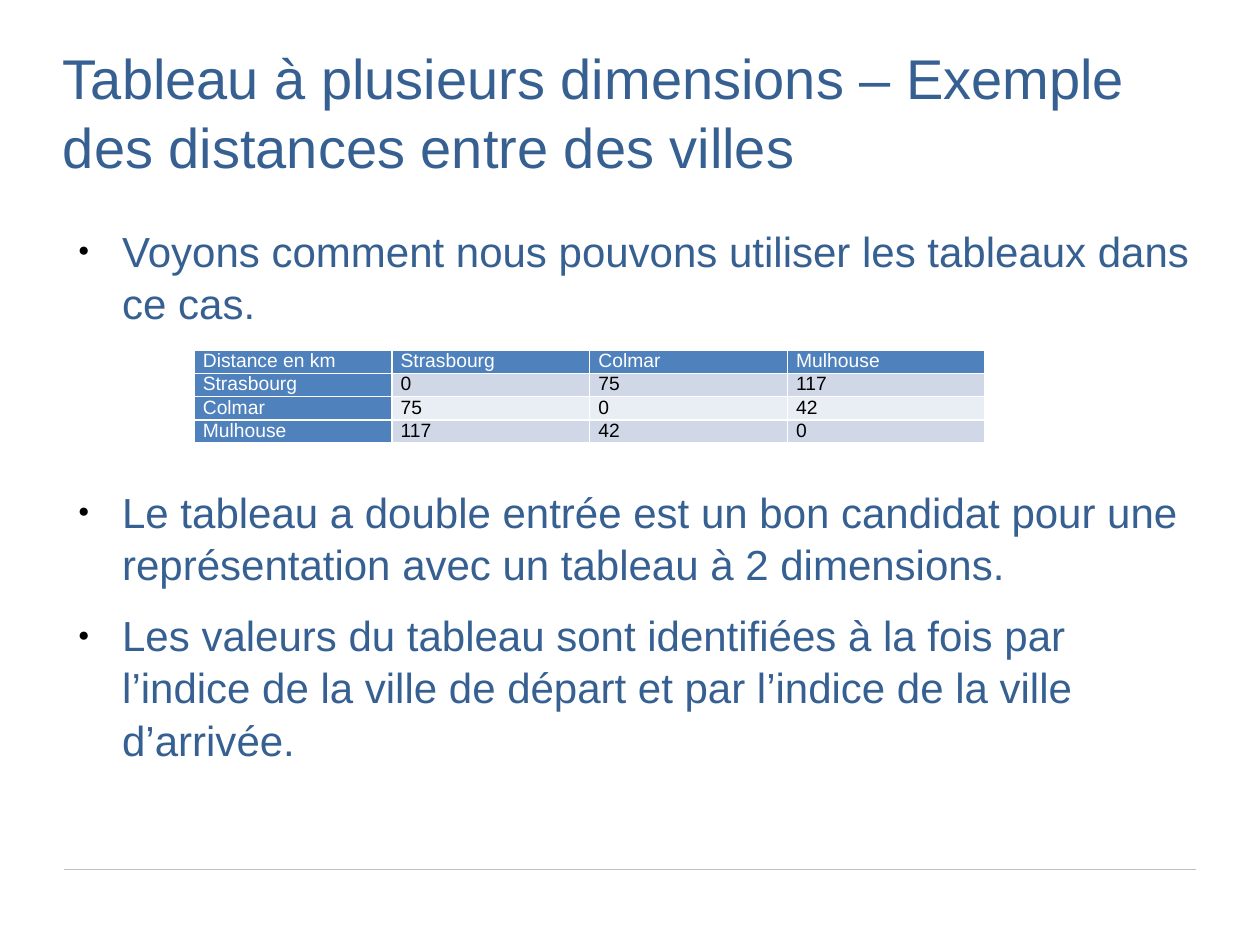
"""Build the slide on two-dimensional arrays, with a table of distances between cities."""
from dataclasses import dataclass

from lxml.etree import SubElement
from pptx import Presentation
from pptx.dml.color import RGBColor
from pptx.enum.shapes import MSO_CONNECTOR
from pptx.oxml.ns import qn
from pptx.util import Inches, Pt


@dataclass(frozen=True)
class Theme:
    font: str = "Arial"
    text: str = "376092"
    black: str = "000000"
    white: str = "FFFFFF"
    rule: str = "BFBFBF"
    header: str = "4F81BD"
    bands: tuple = ("D0D8E8", "E9EDF4")
    title_size: int = 32
    body_size: int = 24
    table_size: int = 11


theme = Theme()


def write(p, text, *, size, color, spacing=1.0, before=0, after=0, bullet=False):
    p.line_spacing = spacing
    p.space_before = Pt(before)
    p.space_after = Pt(after)
    r = p.add_run()
    r.text = text
    r.font.name = theme.font
    r.font.size = Pt(size)
    r.font.color.rgb = RGBColor.from_string(color)
    if bullet:
        pPr = p._p.get_or_add_pPr()
        pPr.set("marL", str(Inches(0.47)))
        pPr.set("indent", str(Inches(-0.35)))
        SubElement(SubElement(pPr, qn("a:buClr")), qn("a:srgbClr"), val=theme.black)
        SubElement(pPr, qn("a:buSzPct"), val="45000")
        SubElement(pPr, qn("a:buFont"), typeface=theme.font)
        SubElement(pPr, qn("a:buChar"), char="●")


def add_text_frame(s, left, top, width, height):
    tf = s.shapes.add_textbox(Inches(left), Inches(top), Inches(width), Inches(height)).text_frame
    tf.word_wrap = True
    tf.margin_left = tf.margin_top = tf.margin_right = tf.margin_bottom = 0
    return tf


prs = Presentation()
prs.slide_width, prs.slide_height = Inches(10), Inches(7.5)
s = prs.slides.add_slide(prs.slide_layouts[6])

rule = s.shapes.add_connector(
    MSO_CONNECTOR.STRAIGHT, Inches(0.51), Inches(6.9), Inches(9.49), Inches(6.9)
)
rule.line.color.rgb = RGBColor.from_string(theme.rule)
rule.line.width = Pt(0.75)
SubElement(rule._element.spPr, qn("a:effectLst"))

tf = add_text_frame(s, 0.5, 0.32, 9, 1.25)
write(
    tf.paragraphs[0],
    "Tableau à plusieurs dimensions – Exemple des distances entre des villes",
    size=theme.title_size, color=theme.text, spacing=1.04,
)

points = [
    ("Voyons comment nous pouvons utiliser les tableaux dans ce cas.", 0),
    ("Le tableau a double entrée est un bon candidat pour une représentation "
     "avec un tableau à 2 dimensions.", 78.7),
    ("Les valeurs du tableau sont identifiées à la fois par l’indice de la ville "
     "de départ et par l’indice de la ville d’arrivée.", 0),
]
tf = add_text_frame(s, 0.5, 1.77, 9, 4.95)
for i, (text, before) in enumerate(points):
    p = tf.add_paragraph() if i else tf.paragraphs[0]
    write(p, text, size=theme.body_size, color=theme.text, spacing=1.04,
          before=before, after=10.6, bullet=True)

cities = ["Strasbourg", "Colmar", "Mulhouse"]
distances = [[0, 75, 117], [75, 0, 42], [117, 42, 0]]
rows = [["Distance en km", *cities]]
rows += [[city, *values] for city, values in zip(cities, distances)]
n = len(rows)
table = s.shapes.add_table(
    n, n, Inches(1.54), Inches(2.78), Inches(1.57 * n), Inches(0.18 * n)
).table
for i, row in enumerate(rows):
    table.rows[i].height = Inches(0.18)
    table.columns[i].width = Inches(1.57)
    for j, value in enumerate(row):
        cell = table.cell(i, j)
        cell.margin_left = cell.margin_right = Inches(0.07)
        cell.margin_top = cell.margin_bottom = 0
        is_header = i == 0 or j == 0
        write(cell.text_frame.paragraphs[0], str(value), size=theme.table_size,
              color=theme.white if is_header else theme.black)
        tcPr = cell._tc.get_or_add_tcPr()
        for side in ("lnL", "lnR", "lnT", "lnB"):
            ln = SubElement(tcPr, qn(f"a:{side}"), w=str(Pt(1)))
            SubElement(SubElement(ln, qn("a:solidFill")), qn("a:srgbClr"), val=theme.white)
        cell.fill.solid()
        cell.fill.fore_color.rgb = RGBColor.from_string(
            theme.header if is_header else theme.bands[(i - 1) % 2]
        )

prs.save("out.pptx")
